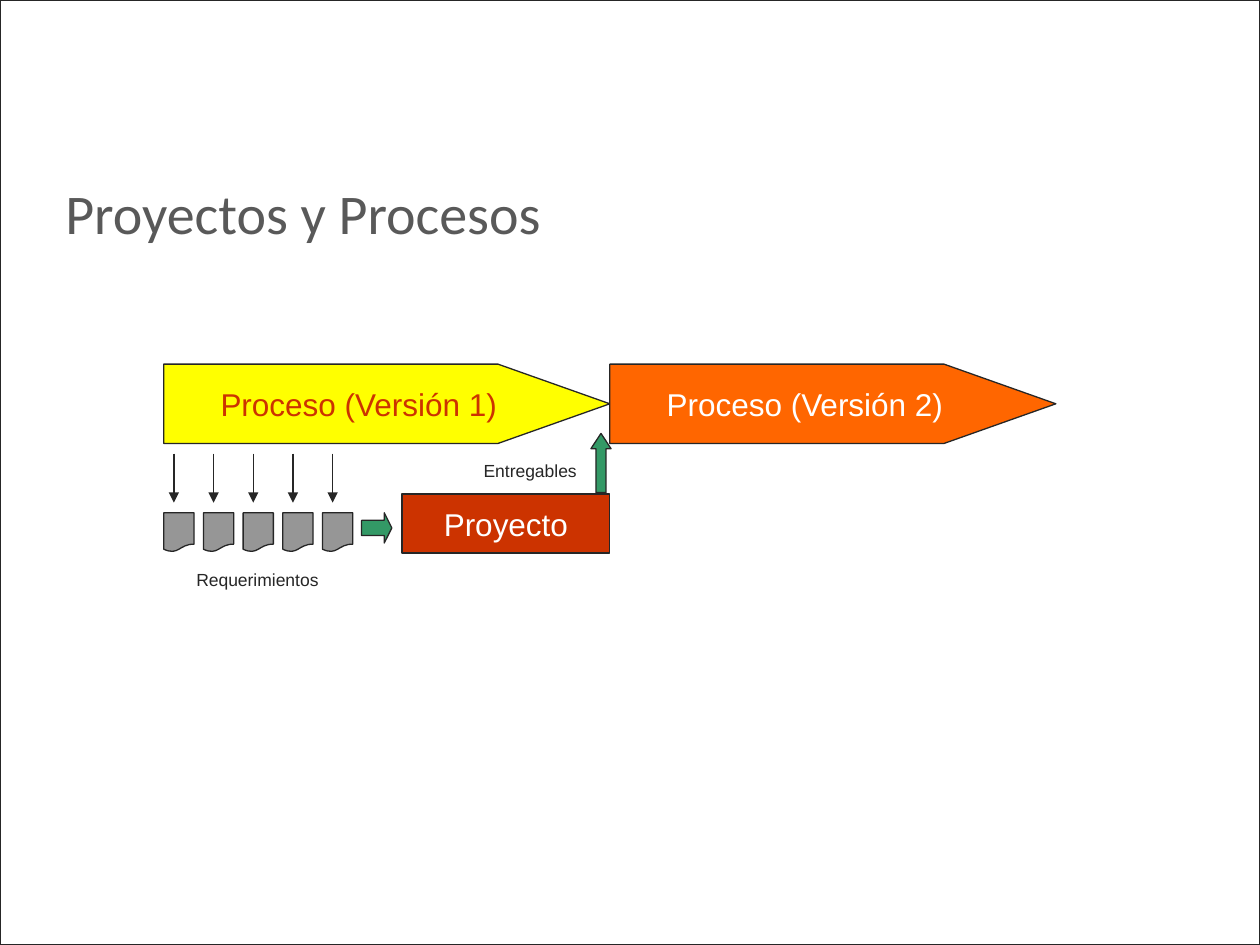
from lxml import etree
from pptx import Presentation
from pptx import util as u
from pptx.dml import color
from pptx.enum import shapes, text
from pptx.oxml import ns

COLORS = {
    "ink": "262626",
    "title": "595959",
    "yellow": "FFFF00",
    "orange": "FF6600",
    "red": "CC3300",
    "gray": "969696",
    "green": "339966",
    "white": "FFFFFF",
}
KINDS = shapes.MSO_SHAPE
REQUIREMENT_COUNT = 5
REQUIREMENT_STEP = 0.315


def rgb(name):
    return color.RGBColor.from_string(COLORS[name])


def set_line(line):
    line.color.rgb = rgb("ink")
    line.width = u.Pt(0.75)


def add_span(frame, words, size, ink, font="Arial", align=None):
    para = frame.paragraphs[0]
    para.alignment = align
    span = para.add_run()
    span.text = words
    span.font.size = u.Pt(size)
    span.font.name = font
    span.font.color.rgb = rgb(ink)


def add_block(parent, kind, left, top, width, height, fill=None, adjustments=()):
    block = parent.shapes.add_shape(
        kind, u.Inches(left), u.Inches(top), u.Inches(width), u.Inches(height)
    )
    block.shadow.inherit = False
    if fill:
        block.fill.solid()
        block.fill.fore_color.rgb = rgb(fill)
    else:
        block.fill.background()
    set_line(block.line)
    for index, value in enumerate(adjustments):
        block.adjustments[index] = value
    return block


def add_labelled_block(page, words, ink, *geometry, **style):
    block = add_block(page, *geometry, **style)
    frame = block.text_frame
    frame.word_wrap = False
    frame.vertical_anchor = text.MSO_ANCHOR.MIDDLE
    add_span(frame, words, 18, ink, align=text.PP_ALIGN.CENTER)


def add_box(parent, left, top, width, height):
    return parent.shapes.add_textbox(
        u.Inches(left), u.Inches(top), u.Inches(width), u.Inches(height)
    )


def add_caption(parent, words, left, top, width):
    frame = add_box(parent, left, top, width, 0.27).text_frame
    frame.word_wrap = False
    frame.auto_size = text.MSO_AUTO_SIZE.SHAPE_TO_FIT_TEXT
    add_span(frame, words, 10, "ink")


def add_title(page, words):
    frame = add_box(page, 0.42, 1.08, 8.28, 0.92).text_frame
    frame.word_wrap = True
    frame.vertical_anchor = text.MSO_ANCHOR.BOTTOM
    add_span(frame, words, 32, "title", "Calibri")


def add_down_arrow(parent, x, top, bottom):
    arrow = parent.shapes.add_connector(
        shapes.MSO_CONNECTOR.STRAIGHT,
        u.Inches(x), u.Inches(top), u.Inches(x), u.Inches(bottom),
    )
    set_line(arrow.line)
    etree.SubElement(arrow.line._get_or_add_ln(), ns.qn("a:tailEnd"), type="triangle")
    etree.SubElement(arrow._element.spPr, ns.qn("a:effectLst"))


def add_requirements(page):
    group = page.shapes.add_group_shape()
    add_caption(group, "Requerimientos", 1.46, 4.47, 1.17)
    offsets = [index * REQUIREMENT_STEP for index in range(REQUIREMENT_COUNT)]
    for offset in offsets:
        add_block(group, KINDS.FLOWCHART_DOCUMENT, 1.3 + offset, 4.07, 0.24, 0.31, "gray")
    for offset in offsets:
        add_down_arrow(group, 1.38 + offset, 3.6, 3.99)


def add_deliverables(page):
    group = page.shapes.add_group_shape()
    add_caption(group, "Entregables", 3.74, 3.6, 0.94)
    add_block(group, KINDS.UP_ARROW, 4.69, 3.44, 0.16, 0.47, "green", (0.5, 0.76))


def main():
    deck = Presentation()
    deck.slide_width = u.Inches(10)
    deck.slide_height = u.Inches(7.5)
    page = deck.slides.add_slide(deck.slide_layouts[6])

    add_block(page, KINDS.RECTANGLE, 0, 0, 10, 7.5)
    add_labelled_block(page, "Proceso (Versión 1)", "red", KINDS.PENTAGON,
                       1.3, 2.89, 3.54, 0.63, fill="yellow", adjustments=(1.41,))
    add_labelled_block(page, "Proyecto", "white", KINDS.RECTANGLE,
                       3.19, 3.92, 1.65, 0.47, fill="red")
    add_labelled_block(page, "Proceso (Versión 2)", "white", KINDS.PENTAGON,
                       4.84, 2.89, 3.54, 0.63, fill="orange", adjustments=(1.41,))
    add_requirements(page)
    add_block(page, KINDS.RIGHT_ARROW, 2.87, 4.07, 0.24, 0.24, "green", (0.5, 0.25))
    add_deliverables(page)
    add_title(page, "Proyectos y Procesos")

    deck.save("out.pptx")


if __name__ == "__main__":
    main()
